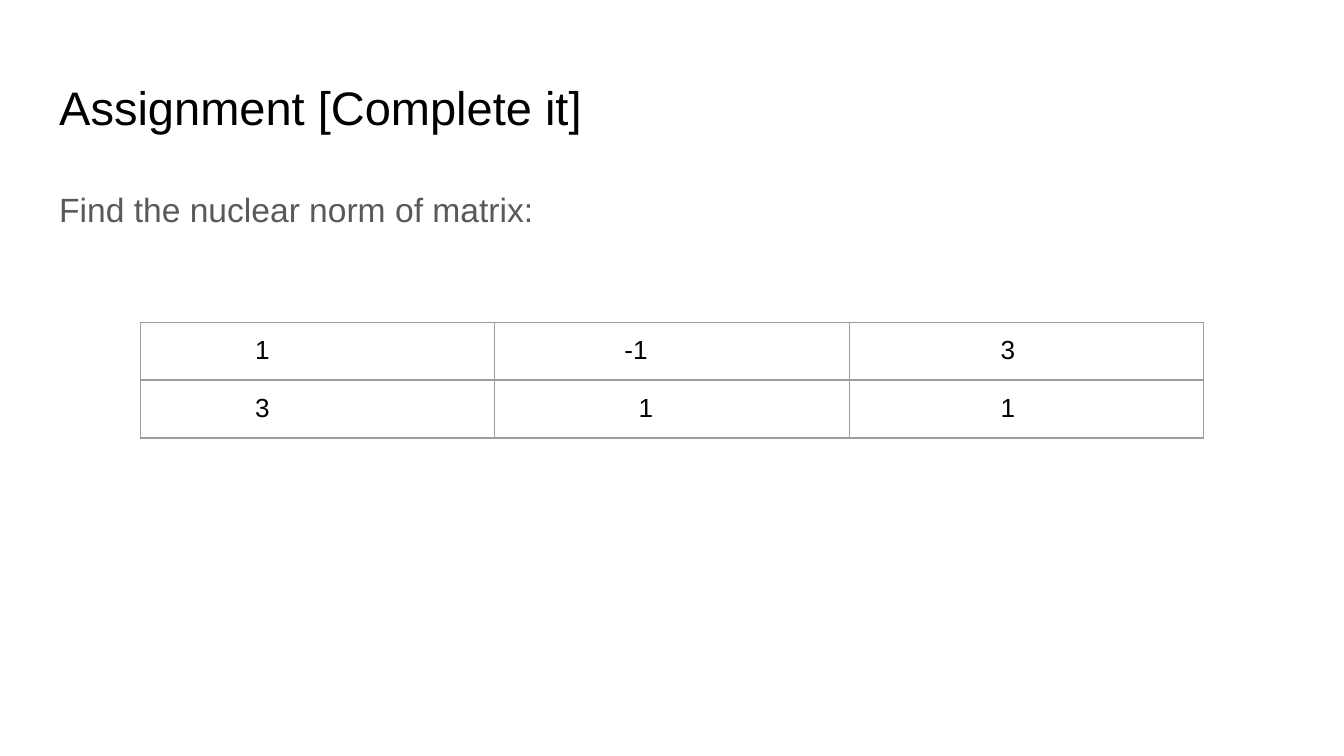
from dataclasses import dataclass

from pptx import Presentation
from pptx.dml.color import RGBColor
from pptx.oxml import parse_xml
from pptx.oxml.ns import nsdecls
from pptx.util import Cm, Length, Pt


@dataclass(frozen=True)
class Theme:
    font: str = "Arial"
    black: str = "000000"
    gray: str = "595959"
    rule: str = "9E9E9E"
    title: float = 25.2
    body: float = 18
    cell: float = 14
    line: Length = Pt(0.75)
    pad: Length = Cm(0.25)


@dataclass(frozen=True)
class Label:
    text: str
    top: Length
    height: Length
    size: float
    color: str
    space: float = 1.0


@dataclass(frozen=True)
class Entry:
    text: str
    left: Length


THEME = Theme()
LABELS = [
    Label("Assignment [Complete it]", Cm(1.24), Cm(1.6), THEME.title, THEME.black),
    Label("Find the nuclear norm of matrix:", Cm(3.2), Cm(9.5),
          THEME.body, THEME.gray, 1.15),
]
MATRIX = [
    [Entry("1", Cm(2.17)), Entry("-1", Cm(2.45)), Entry("3", Cm(2.86))],
    [Entry("3", Cm(2.17)), Entry("1", Cm(2.72)), Entry("1", Cm(2.86))],
]


def write(frame, text: str, size: float, color: str, space: float = 1.0) -> None:
    frame.margin_top = frame.margin_bottom = THEME.pad
    frame.margin_right = THEME.pad
    para = frame.paragraphs[0]
    para.text = text
    para.line_spacing = space
    para.font.name = THEME.font
    para.font.size = Pt(size)
    para.font.color.rgb = RGBColor.from_string(color)


def add_label(slide, label: Label) -> None:
    box = slide.shapes.add_textbox(Cm(0.87), label.top, Cm(23.67), label.height)
    frame = box.text_frame
    frame.word_wrap = True
    frame.margin_left = THEME.pad
    write(frame, label.text, label.size, label.color, label.space)


def rule_cell(cell) -> None:
    """Draw a thin line on all four sides of the cell."""
    props = cell._tc.get_or_add_tcPr()
    for side in "LRTB":
        props.append(parse_xml(
            f'<a:ln{side} {nsdecls("a")} w="{THEME.line}"><a:solidFill>'
            f'<a:srgbClr val="{THEME.rule}"/></a:solidFill></a:ln{side}>'))


def add_matrix(slide, rows: list[list[Entry]]) -> None:
    count, width = len(rows), len(rows[0])
    table = slide.shapes.add_table(
        count, width, Cm(2.65), Cm(6.09), Cm(6.7) * width, Cm(1.07) * count).table
    table.first_row = table.horz_banding = False
    for r, row in enumerate(rows):
        for c, entry in enumerate(row):
            cell = table.cell(r, c)
            rule_cell(cell)
            cell.fill.background()
            cell.margin_left = entry.left
            cell.margin_top = cell.margin_bottom = cell.margin_right = THEME.pad
            write(cell.text_frame, entry.text, THEME.cell, THEME.black)


def main() -> None:
    deck = Presentation()
    deck.slide_width, deck.slide_height = Cm(25.4), Cm(14.29)
    slide = deck.slides.add_slide(deck.slide_layouts[6])
    for label in LABELS:
        add_label(slide, label)
    add_matrix(slide, MATRIX)
    deck.save("out.pptx")


if __name__ == "__main__":
    main()
